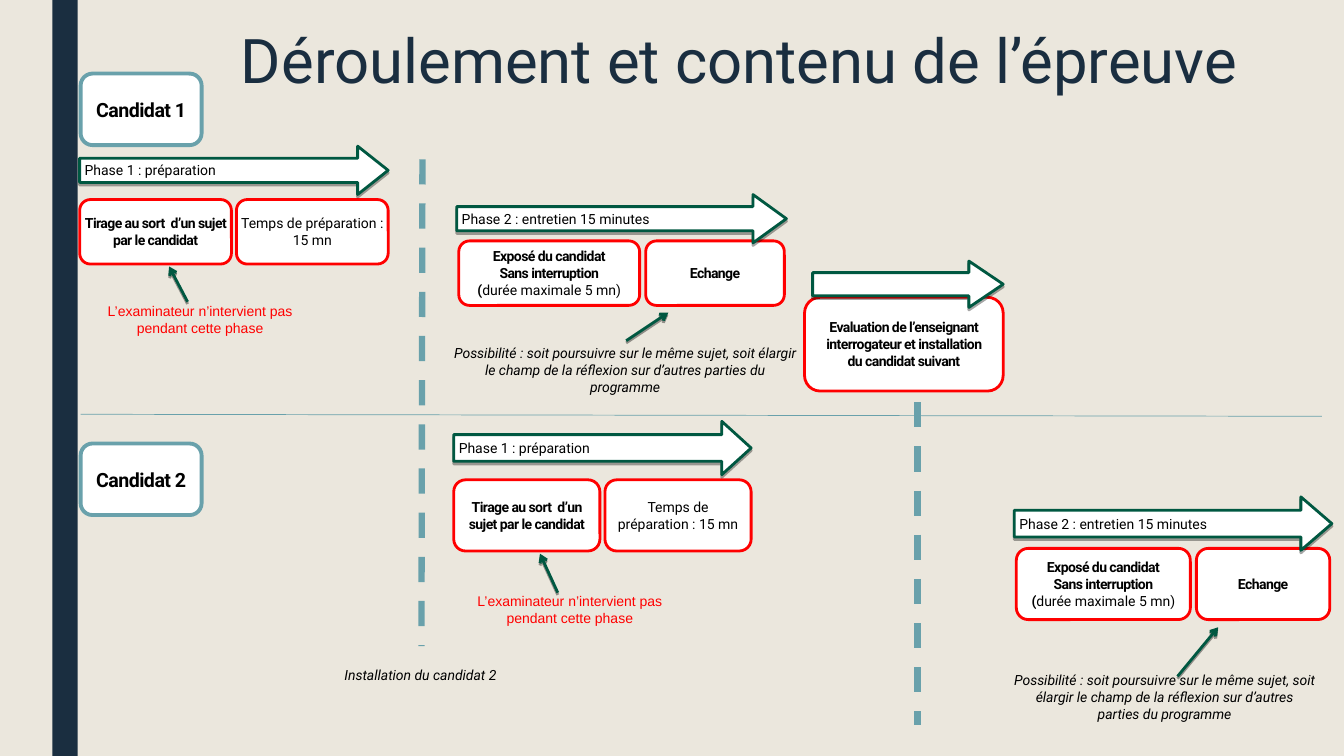
from lxml import etree
from pptx import Presentation
from pptx.dml.color import RGBColor
from pptx.enum.dml import MSO_LINE
from pptx.enum.shapes import MSO_CONNECTOR, MSO_SHAPE
from pptx.enum.text import MSO_ANCHOR, MSO_AUTO_SIZE, PP_ALIGN
from pptx.oxml.ns import qn
from pptx.util import Inches, Pt

BLOCK_ARROW, ROUNDED, RECTANGLE = MSO_SHAPE.RIGHT_ARROW, MSO_SHAPE.ROUNDED_RECTANGLE, MSO_SHAPE.RECTANGLE
STRAIGHT, DASH = MSO_CONNECTOR.STRAIGHT, MSO_LINE.DASH
LEFT, CENTER = PP_ALIGN.LEFT, PP_ALIGN.CENTER
TOP, MIDDLE = MSO_ANCHOR.TOP, MSO_ANCHOR.MIDDLE
NO_FIT = MSO_AUTO_SIZE.NONE

WIDTH, HEIGHT = 13.33, 7.5
SAND, NAVY, TEAL, GREEN, RED, WHITE, BLACK = (
    "EBE7DD", "1A2E40", "69A1AB", "005841", "FF0000", "FFFFFF", "000000")

PLAIN = dict(name="Roboto", size=Pt(10), color=BLACK)
BOLD = dict(PLAIN, bold=True, spacing=-40)
ITALIC = dict(PLAIN, italic=True)
NOTE = dict(PLAIN, name="Arial", color=RED)
CANDIDATE = dict(BOLD, size=Pt(14))
HEADING = dict(PLAIN, size=Pt(44), color=NAVY)

TITLE = [[("Déroulement et contenu de l’épreuve", HEADING)]]
PHASE_1 = [[("Phase 1 : préparation", PLAIN)]]
DRAW = [[("Tirage au sort  d’un sujet par le candidat", BOLD)]]
PREPARE = [[("Temps de préparation : 15 mn", PLAIN)]]
EXAMINER = [[("L’examinateur n’intervient pas pendant cette phase", NOTE)]]
PHASE_2 = [[("Phase 2 : entretien 15 minutes", PLAIN)]]
TALK = [
    [("Exposé du candidat", BOLD)],
    [("Sans interruption", BOLD)],
    [("(", BOLD), ("durée maximale 5 mn)", PLAIN)],
]
EXCHANGE = [[("Echange", BOLD)]]
OPTIONS = [[("Possibilité : soit poursuivre sur le même sujet, soit élargir le champ "
             "de la réflexion sur d’autres parties du programme", ITALIC)]]
EVALUATION = [[("Evaluation de l’enseignant interrogateur et installation "
                "du candidat suivant", BOLD)]]
INSTALLATION = [[("Installation du candidat 2", ITALIC)]]

CANDIDATES = [("Candidat 1", 0.73), ("Candidat 2", 4.4)]
PREPARATIONS = [(0.79, 1.45, 3.06, 0.48, 0.63), (4.5, 4.18, 2.95, 0.53, 0.55)]
INTERVIEWS = [
    (4.53, 1.93, 3.27, 0.48, 0.69, (4.43, 3.38, 3.54, 0.58), 3.38),
    (10.06, 4.93, 3.15, 0.53, 0.58, (10.01, 6.62, 3.08, 0.58), 6.71),
]
DIVIDERS = [
    ((4.19, 1.58), (4.18, 6.41), 4.5, DASH),
    ((9.1, 3.99), (9.1, 7.19), 4.5, DASH),
    ((0.8, 4.11), (13.11, 4.13), 0.5, None),
]


def rgb(value):
    return RGBColor.from_string(value)


def write(frame, paragraphs, align=CENTER, anchor=MIDDLE, inset=0.0, side=None):
    side = inset if side is None else side
    settings = dict(word_wrap=True, auto_size=NO_FIT, vertical_anchor=anchor,
                    margin_left=Inches(side), margin_right=Inches(side),
                    margin_top=Inches(inset), margin_bottom=Inches(inset))
    for key, value in settings.items():
        setattr(frame, key, value)
    for index, runs in enumerate(paragraphs):
        paragraph = frame.add_paragraph() if index else frame.paragraphs[0]
        paragraph.alignment = align
        for text, style in runs:
            run = paragraph.add_run()
            run.text = text
            for key, value in style.items():
                if key == "color":
                    run.font.color.rgb = rgb(value)
                elif key == "spacing":
                    run.font._element.set("spc", str(value))
                else:
                    setattr(run.font, key, value)


def cast_shadow(effects, distance, opacity):
    shadow = etree.SubElement(effects, qn("a:outerShdw"), blurRad="0",
                              dist=str(Pt(distance)), dir="5400000", rotWithShape="0")
    black = etree.SubElement(shadow, qn("a:srgbClr"), val=BLACK)
    etree.SubElement(black, qn("a:alpha"), val=str(opacity * 1000))


def add_box(slide, kind, place, line=None, weight=2.0, fill=WHITE):
    box = slide.shapes.add_shape(kind, *map(Inches, place))
    box.shadow.inherit = False
    box.fill.solid()
    box.fill.fore_color.rgb = rgb(fill)
    if line:
        box.line.color.rgb = rgb(line)
        box.line.width = Pt(weight)
    else:
        box.line.fill.background()
    return box


def add_card(slide, place, paragraphs, line=RED, weight=2.0, inset=0.0, side=None):
    card = add_box(slide, ROUNDED, place, line, weight)
    write(card.text_frame, paragraphs, inset=inset, side=side)


def add_block_arrow(slide, place, head, paragraphs=()):
    arrow = add_box(slide, BLOCK_ARROW, place, GREEN)
    arrow.adjustments[0], arrow.adjustments[1] = 0.5, head
    cast_shadow(arrow._element.spPr.find(qn("a:effectLst")), 1.8, 35)
    write(arrow.text_frame, paragraphs, LEFT, inset=0.05)


def add_note(slide, place, paragraphs, inset=0.05, side=None):
    note = slide.shapes.add_textbox(*map(Inches, place))
    write(note.text_frame, paragraphs, anchor=TOP, inset=inset, side=side)


def add_line(slide, start, end, color, weight, dash=None, pointer=False):
    line = slide.shapes.add_connector(STRAIGHT, *map(Inches, (*start, *end)))
    line.line.color.rgb = rgb(color)
    line.line.width = Pt(weight)
    if dash:
        line.line.dash_style = dash
    properties = line._element.spPr
    effects = etree.SubElement(properties, qn("a:effectLst"))
    if pointer:
        etree.SubElement(properties.find(qn("a:ln")), qn("a:tailEnd"), type="arrow")
        cast_shadow(effects, 1.6, 38)


def add_preparation(slide, left, top, width, row, head):
    gap = 0.05
    card_width, card_height = (width - gap) / 2, row * 4 / 3
    card_top = top + row + gap
    bottom = card_top + card_height
    for index, text in enumerate((DRAW, PREPARE)):
        add_card(slide, (left + index * (card_width + gap), card_top, card_width, card_height), text)
    add_block_arrow(slide, (left, top, width, row), head, PHASE_1)
    add_note(slide, (left + width * 0.04, bottom + row * 0.69, width * 0.7, row * 0.81), EXAMINER)
    add_line(slide, (left + width * 0.35, bottom + row * 0.78),
             (left + width * 0.29, bottom + row * 0.05), GREEN, 2, pointer=True)


def add_interview(slide, left, top, width, row, head, note, pointer_start):
    edge, gap = 0.02, 0.06
    usable = width - 2 * edge - gap
    card_left, card_top = left + edge, top + row - edge
    for text, share in ((TALK, 0.566), (EXCHANGE, 0.434)):
        add_card(slide, (card_left, card_top, usable * share, row * 4 / 3), text)
        card_left += usable * share + gap
    add_block_arrow(slide, (left, top, width, row), head, PHASE_2)
    add_line(slide, (left + width * 0.514, pointer_start),
             (left + width * 0.642, top + row * 2.44), GREEN, 2, pointer=True)
    add_note(slide, note, OPTIONS, inset=0.04)


def main():
    deck = Presentation()
    deck.slide_width, deck.slide_height = Inches(WIDTH), Inches(HEIGHT)
    slide = deck.slides.add_slide(deck.slide_layouts[5])
    slide.background.fill.solid()
    slide.background.fill.fore_color.rgb = rgb(SAND)

    title = slide.shapes.title
    title.left, title.top, title.width, title.height = map(Inches, (2.29, 0.26, 10.52, 0.52))
    write(title.text_frame, TITLE, LEFT, TOP, inset=0.05, side=0.1)
    title.text_frame.paragraphs[0].line_spacing = 0.89

    add_box(slide, RECTANGLE, (0.52, 0, 0.25, HEIGHT), fill=NAVY)
    for preparation in PREPARATIONS:
        add_preparation(slide, *preparation)
    for interview in INTERVIEWS:
        add_interview(slide, *interview)
    add_card(slide, (7.98, 2.95, 1.97, 0.93), EVALUATION, inset=0.05, side=0.1)
    add_block_arrow(slide, (8.06, 2.59, 1.89, 0.46), 0.74)
    for name, top in CANDIDATES:
        add_card(slide, (0.8, top, 1.2, 0.71), [[(name, CANDIDATE)]], TEAL, 2.75)
    for start, end, weight, dash in DIVIDERS:
        add_line(slide, start, end, TEAL, weight, dash)
    add_note(slide, (3.24, 6.56, 1.86, 0.27), INSTALLATION, side=0.1)
    deck.save("out.pptx")


if __name__ == "__main__":
    main()
